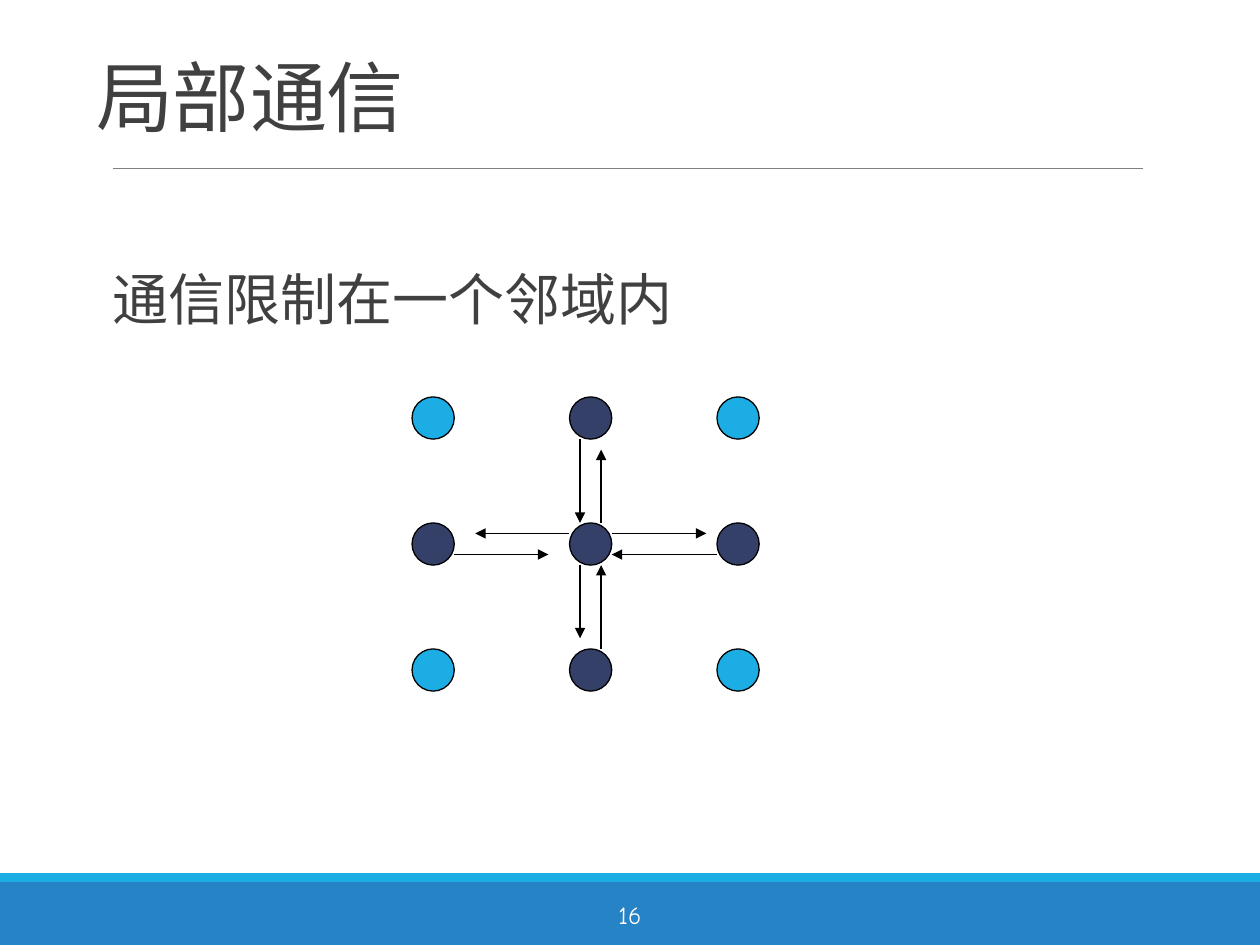
"""Build the local communication slide: a 3 x 3 node mesh with neighbour arrows."""
from lxml.etree import SubElement
from pptx import Presentation
from pptx.dml.color import RGBColor
from pptx.enum.shapes import MSO_CONNECTOR, MSO_SHAPE
from pptx.enum.text import MSO_ANCHOR, PP_ALIGN
from pptx.oxml.ns import qn
from pptx.util import Inches, Pt

COLS, ROWS = 100, 75
DARK, BRIGHT, BLUE, INK = "344068", "1CADE4", "2683C6", "404040"


def grid(*cells):
    return [Inches(c / 10) for c in cells]


def paint(fill, color):
    fill.solid()
    fill.fore_color.rgb = RGBColor.from_string(color)


prs = Presentation()
prs.slide_width, prs.slide_height = grid(COLS, ROWS)
s = prs.slides.add_slide(prs.slide_layouts[6])

for top, height, color in [(70, 5, BLUE), (69.3, 0.7, BRIGHT)]:
    sp = s.shapes.add_shape(MSO_SHAPE.RECTANGLE, *grid(0, top, COLS, height))
    sp.shadow.inherit = False
    paint(sp.fill, color)
    sp.line.fill.background()

texts = [
    ((30.2, 70.6, 39.6, 4), MSO_ANCHOR.MIDDLE, 14, "FFFFFF", [("16", "Comic Neue")]),
    ((6.7, 3.5, 85.8, 8.3), MSO_ANCHOR.BOTTOM, 44, INK,
     [("局部", "Arial"), ("通信", "Calibri")]),
    ((6.7, 19.4, 86.6, 52), MSO_ANCHOR.TOP, 32, INK,
     [("通信", "Calibri"), ("限制在一个邻域内", "Arial")]),
]
frames = []
for box, anchor, size, color, runs in texts:
    tf = s.shapes.add_textbox(*grid(*box)).text_frame
    tf.word_wrap = True
    tf.vertical_anchor = anchor
    for text, font in runs:
        r = tf.paragraphs[0].add_run()
        r.text = text
        r.font.name, r.font.size = font, Pt(size)
        paint(r.font.fill, color)
    frames.append(tf)

number, title, body = frames
number.paragraphs[0].alignment = PP_ALIGN.CENTER
title.paragraphs[0].line_spacing = 0.85
for r in title.paragraphs[0].runs:
    r.font._element.set("spc", "-50")

body.margin_left = body.margin_right = 0
p = body.paragraphs[0]
p.line_spacing, p.space_before, p.space_after = 1.2, Pt(12), Pt(2)
pPr = p._p.get_or_add_pPr()
indent = Inches(0.1)
pPr.set("marL", str(indent))
pPr.set("indent", str(-indent))
SubElement(SubElement(pPr, qn("a:buClr")), qn("a:srgbClr")).set("val", BRIGHT)
SubElement(pPr, qn("a:buChar")).set("char", " ")

xs, ys, d = (32.7, 45.2, 56.9), (31.5, 41.5, 51.5), 3.35
for i, x in enumerate(xs):
    for j, y in enumerate(ys):
        sp = s.shapes.add_shape(MSO_SHAPE.OVAL, *grid(x, y, d, d))
        sp.shadow.inherit = False
        paint(sp.fill, DARK if 1 in (i, j) else BRIGHT)
        paint(sp.line.fill, "000000")
        sp.line.width = Pt(0.75)

cx, cy = xs[1], ys[1]
left, right = cx + d / 4, cx + d * 3 / 4
upper, lower = cy + d / 4, cy + d * 3 / 4
gap = d / 4
arrows = [
    (right, cy, right, ys[0] + d + gap),
    (left, ys[0] + d, left, cy),
    (cx + d, upper, xs[2] - gap, upper),
    (xs[2], lower, cx + d, lower),
    (left, cy + d, left, ys[2] - gap),
    (right, ys[2], right, cy + d),
    (cx, upper, xs[0] + d + 2 * gap, upper),
    (xs[0] + d, lower, cx - 2 * gap, lower),
]
rule = (9, 13.4, 90.7, 13.4)
for ends in [rule, *arrows]:
    c = s.shapes.add_connector(MSO_CONNECTOR.STRAIGHT, *grid(*ends))
    paint(c.line.fill, "808080" if ends is rule else "000000")
    c.line.width = Pt(0.5 if ends is rule else 0.75)
    if ends is not rule:
        SubElement(c.line._get_or_add_ln(), qn("a:tailEnd")).set("type", "triangle")
    SubElement(c._element.spPr, qn("a:effectLst"))

prs.save("out.pptx")
